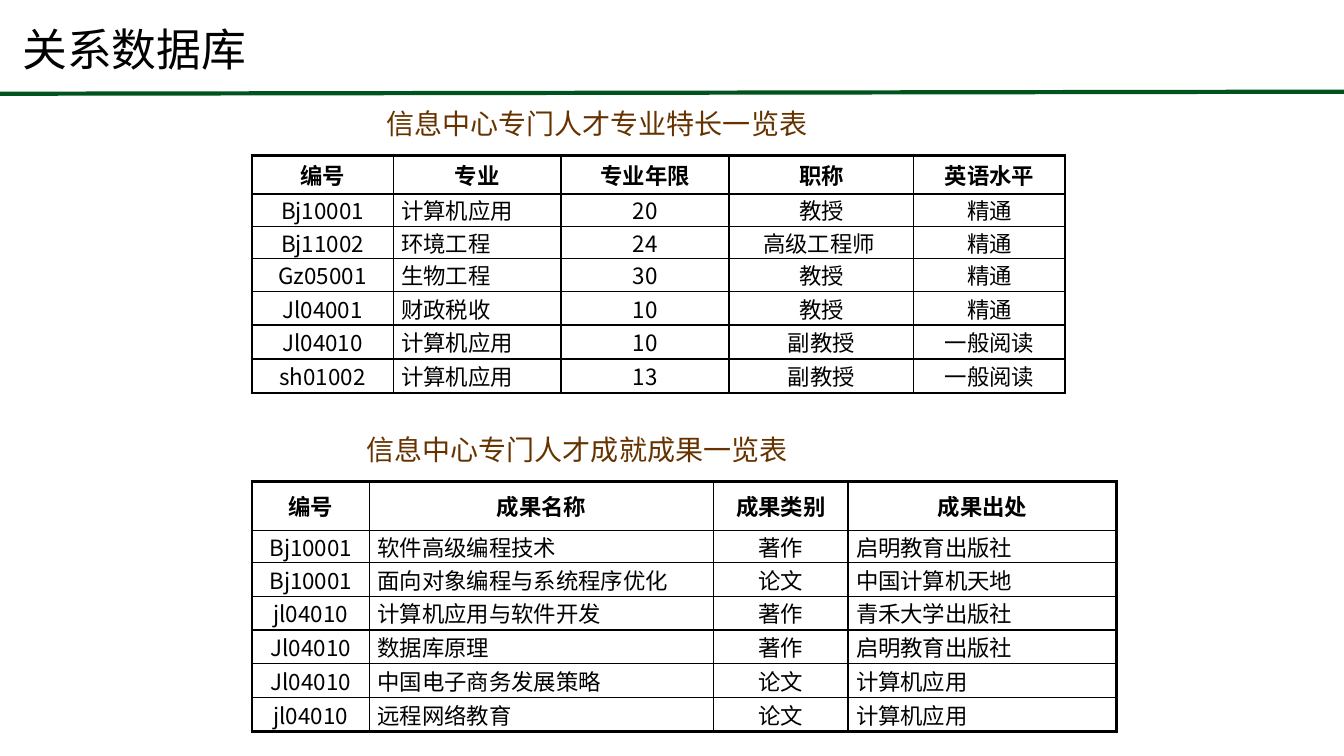
from lxml import etree
from pptx import Presentation
from pptx.dml.color import RGBColor
from pptx.enum.shapes import MSO_CONNECTOR
from pptx.enum.text import MSO_ANCHOR, MSO_AUTO_SIZE, PP_ALIGN
from pptx.oxml.ns import qn
from pptx.util import Inches, Pt

LEFT, CENTER = PP_ALIGN.LEFT, PP_ALIGN.CENTER
MIDDLE, BOTTOM = MSO_ANCHOR.MIDDLE, MSO_ANCHOR.BOTTOM
NO_AUTOFIT = MSO_AUTO_SIZE.NONE
STRAIGHT = MSO_CONNECTOR.STRAIGHT

COLORS = {"ink": "000000", "caption": "663300", "rule": "00531D"}
FONT = "Noto Sans CJK SC"
THIN, THICK = 1, 2.25

TABLE_LEFT = 18.75

SPECIALTIES = [
    ("编号", "专业", "专业年限", "职称", "英语水平"),
    ("Bj10001", "计算机应用", "20", "教授", "精通"),
    ("Bj11002", "环境工程", "24", "高级工程师 ", "精通"),
    ("Gz05001", "生物工程", "30", "教授", "精通"),
    ("Jl04001", "财政税收", "10", "教授", "精通"),
    ("Jl04010", "计算机应用", "10", "副教授", "一般阅读"),
    ("sh01002", "计算机应用", "13", "副教授", "一般阅读"),
]
ACHIEVEMENTS = [
    ("编号", "成果名称", "成果类别", "成果出处"),
    ("Bj10001", "软件高级编程技术", "著作", "启明教育出版社"),
    ("Bj10001", "面向对象编程与系统程序优化", "论文", "中国计算机天地"),
    ("jl04010", "计算机应用与软件开发", "著作", "青禾大学出版社"),
    ("Jl04010", "数据库原理", "著作", "启明教育出版社"),
    ("Jl04010", "中国电子商务发展策略", "论文", "计算机应用"),
    ("jl04010", "远程网络教育", "论文", "计算机应用"),
]


def write(frame, text, size=16, color="ink", bold=False, align=LEFT, spacing=1.0):
    paragraph = frame.paragraphs[0]
    paragraph.alignment = align
    paragraph.line_spacing = spacing
    run = paragraph.add_run()
    run.text = text
    font = run.font
    font.size, font.bold, font.name = Pt(size), bold, FONT
    font.color.rgb = RGBColor.from_string(COLORS[color])
    east_asian = etree.SubElement(font._element, qn("a:ea"))
    east_asian.set("typeface", FONT)


def set_borders(cell, **widths):
    """Draw the sides L, R, T and B, given in that order, in points."""
    properties = cell._tc.get_or_add_tcPr()
    for side, width in widths.items():
        border = etree.SubElement(properties, qn(f"a:ln{side}"), w=str(Pt(width)))
        fill = etree.SubElement(border, qn("a:solidFill"))
        etree.SubElement(fill, qn("a:srgbClr"), val=COLORS["ink"])


class GridSlide:
    """A title-only slide measured on a grid of 100 columns and 100 rows."""

    def __init__(self, presentation):
        self.width = presentation.slide_width
        self.height = presentation.slide_height
        self.slide = presentation.slides.add_slide(presentation.slide_layouts[5])

    def columns(self, count):
        return round(self.width * count / 100)

    def rows(self, count):
        return round(self.height * count / 100)

    def box(self, left, top, width, height):
        return (self.columns(left), self.rows(top),
                self.columns(width), self.rows(height))

    def title(self, text, *area):
        title = self.slide.shapes.title
        title.left, title.top, title.width, title.height = self.box(*area)
        frame = title.text_frame
        frame.auto_size, frame.vertical_anchor = NO_AUTOFIT, MIDDLE
        frame.margin_left = self.columns(1.5)
        write(frame, text, size=32, spacing=0.9)

    def rule(self, left, top, right, bottom):
        rule = self.slide.shapes.add_connector(
            STRAIGHT, *self.box(left, top, right, bottom))
        rule.line.color.rgb = RGBColor.from_string(COLORS["rule"])
        rule.line.width = Pt(3)
        etree.SubElement(rule._element.spPr, qn("a:effectLst"))

    def caption(self, text, *area, indent):
        caption = self.slide.shapes.add_textbox(*self.box(*area))
        frame = caption.text_frame
        frame.word_wrap, frame.vertical_anchor = True, BOTTOM
        frame.margin_left = self.columns(indent)
        write(frame, text, size=20, color="caption")

    def table(self, records, top, widths, heights, left_aligned):
        area = self.box(TABLE_LEFT, top, sum(widths), sum(heights))
        table = self.slide.shapes.add_table(len(heights), len(widths), *area).table
        table.first_row = table.horz_banding = False
        for column, width in zip(table.columns, widths):
            column.width = self.columns(width)
        for row, height in zip(table.rows, heights):
            row.height = self.rows(height)

        last_row, last_column = len(heights) - 1, len(widths) - 1
        for r, record in enumerate(records):
            for c, text in enumerate(record):
                cell = table.cell(r, c)
                header = r == 0
                at_left = c in left_aligned and not header
                cell.margin_left = self.columns(0.6) if at_left else 0
                cell.margin_right = cell.margin_top = cell.margin_bottom = 0
                cell.vertical_anchor = MIDDLE
                write(cell.text_frame, text, bold=header,
                      align=LEFT if at_left else CENTER)
                set_borders(cell,
                            L=THICK if c == 0 else THIN,
                            R=THICK if c == last_column else THIN,
                            T=THICK if header else THIN,
                            B=THICK if r == last_row else THIN)
                cell.fill.background()


def main():
    presentation = Presentation()
    presentation.slide_width = Inches(13.33)
    presentation.slide_height = Inches(7.5)
    page = GridSlide(presentation)

    page.rule(0, 12.4, 100, 12.13)
    page.title("关系数据库", 0.15, 0.27, 84.75, 13.33)

    page.caption("信息中心专门人才专业特长一览表", 24, 11.6, 54.9, 7.6, indent=4.75)
    page.table(SPECIALTIES, top=20.6,
               widths=[10.5, 12.5, 12.5, 13.75, 11.25],
               heights=[5.07] + [4.27] * 2 + [4.4] * 2 + [4.5] * 2,
               left_aligned={1})

    page.caption("信息中心专门人才成就成果一览表", 21.23, 54.67, 56.34, 7.6, indent=6.05)
    page.table(ACHIEVEMENTS, top=63.65,
               widths=[8.75, 25.6, 10, 20],
               heights=[6.5, 4.25] + [4.47] * 5,
               left_aligned={1, 3})

    presentation.save("out.pptx")


if __name__ == "__main__":
    main()
